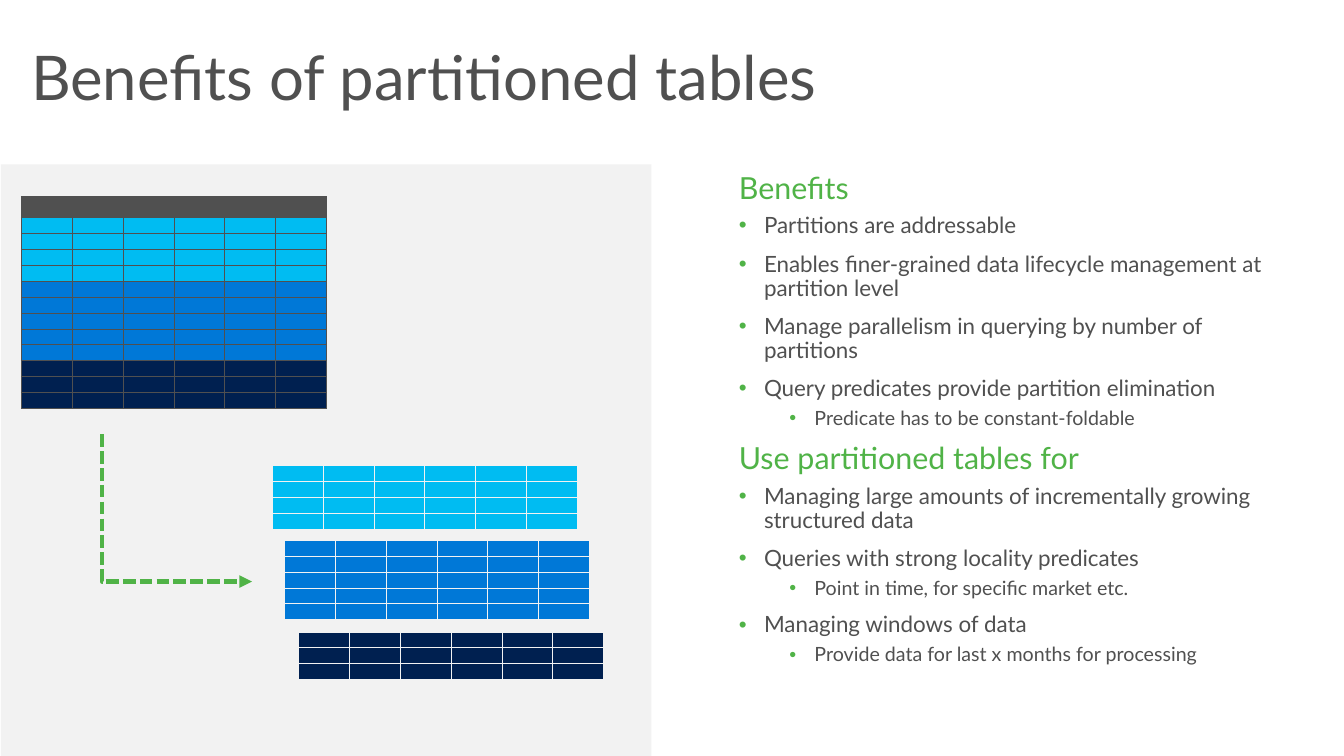
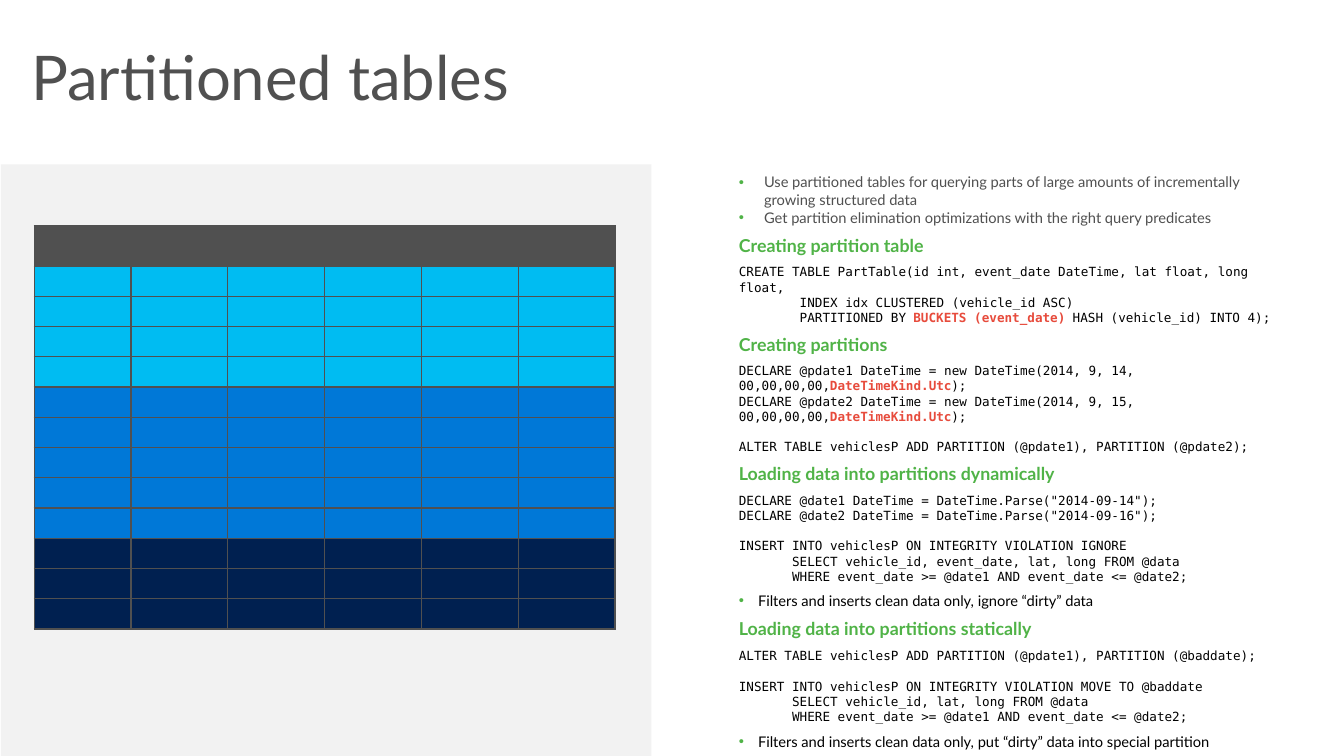
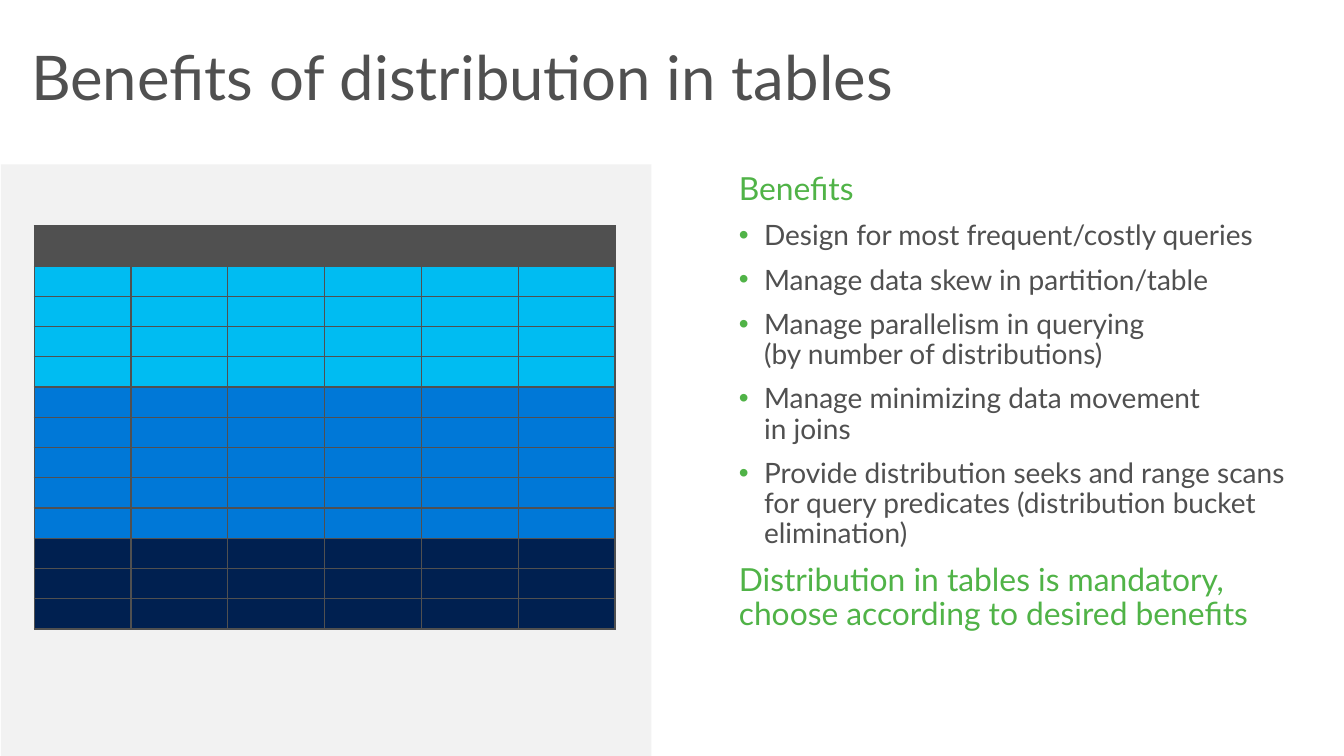
"""Build three slides on partitioned and distributed tables."""
from lxml.etree import SubElement
from pptx import Presentation
from pptx.dml.color import RGBColor
from pptx.enum.dml import MSO_LINE
from pptx.enum.shapes import MSO_CONNECTOR, MSO_SHAPE
from pptx.enum.text import MSO_ANCHOR
from pptx.oxml.ns import qn
from pptx.util import Inches, Pt

GRAY = RGBColor(0x50, 0x50, 0x50)
PALE = RGBColor(0xF2, 0xF2, 0xF2)
GREEN = RGBColor(0x50, 0xB3, 0x47)
RED = RGBColor(0xE7, 0x4B, 0x3C)
BLACK = RGBColor(0, 0, 0)
CYAN = RGBColor(0x00, 0xBC, 0xF2)
BLUE = RGBColor(0x00, 0x78, 0xD7)
NAVY = RGBColor(0x00, 0x20, 0x50)
SANS, MONO = "Lato", "DejaVu Sans Mono"
BANDS = [CYAN] * 4 + [BLUE] * 5 + [NAVY] * 3

# kind: font, size, colour, bold, left indent, hang, after, line spacing
STYLES = {
    "title": (SANS, 44, GRAY, False, 0, 0, 0, 0.9),
    "head": (SANS, 21.7, GREEN, False, 0, 0, 0, 0.9),
    "item": (SANS, 16, GRAY, False, 0.25, 0.25, 0, 0.9),
    "sub": (SANS, 14, GRAY, False, 0.75, 0.25, 0, 0.9),
    "lead": (SANS, 22.7, GREEN, False, 0, 0, 0, 0.9),
    "point": (SANS, 20, GRAY, False, 0.25, 0.25, 0, 0.9),
    "intro": (SANS, 10.5, GRAY, False, 0.25, 0.25, 0, 1.0),
    "step": (SANS, 12.7, GREEN, True, 0, 0, 6, 1.0),
    "code": (MONO, 9, BLACK, False, 0, 0, 0, 1.0),
    "note": (SANS, 10.5, BLACK, False, 0.19, 0.19, 0, 1.0),
}

SLIDES = [
    ("Benefits of partitioned tables", (5.63, 5.27), [
        ("head", 0, "Benefits"),
        ("item", 6, "Partitions are addressable"),
        ("item", 10, "Enables finer-grained data lifecycle management at partition level"),
        ("item", 10, "Manage parallelism in querying by number of partitions"),
        ("item", 10, "Query predicates provide partition elimination"),
        ("sub", 5, "Predicate has to be constant-foldable"),
        ("head", 10, "Use partitioned tables for"),
        ("item", 6, "Managing large amounts of incrementally growing structured data"),
        ("item", 10, "Queries with strong locality predicates"),
        ("sub", 5, "Point in time, for specific market etc."),
        ("item", 10, "Managing windows of data"),
        ("sub", 5, "Provide data for last x months for processing"),
    ], [
        (0.21, 1.95, 3.03, 2.1, 0.21, BANDS, GRAY, 0.5),
        (2.96, 6.27, 3.03, 0.47, 0, [NAVY] * 3, PALE, 0.75),
        (2.82, 5.36, 3.03, 0.79, 0, [BLUE] * 5, PALE, 0.75),
        (2.7, 4.62, 3.03, 0.63, 0, [CYAN] * 4, PALE, 0.75),
    ]),
    ("Partitioned tables", (5.49, 5.71), [
        ("intro", 0, "Use partitioned tables for querying parts of large amounts of incrementally growing structured data"),
        ("intro", 0, "Get partition elimination optimizations with the right query predicates"),
        ("step", 6, "Creating partition table"),
        ("code", 0, "CREATE TABLE PartTable(id int, event_date DateTime, lat float, long float,"),
        ("code", 0, "        INDEX idx CLUSTERED (vehicle_id ASC)"),
        ("code", 0, "        PARTITIONED BY |BUCKETS (event_date) |HASH (vehicle_id) INTO 4);"),
        ("step", 6, "Creating partitions"),
        ("code", 0, "DECLARE @pdate1 DateTime = new DateTime(2014, 9, 14, 00,00,00,00,|DateTimeKind.Utc|);"),
        ("code", 0, "DECLARE @pdate2 DateTime = new DateTime(2014, 9, 15, 00,00,00,00,|DateTimeKind.Utc|);"),
        ("code", 11, "ALTER TABLE vehiclesP ADD PARTITION (@pdate1), PARTITION (@pdate2);"),
        ("step", 6, "Loading data into partitions dynamically"),
        ("code", 0, 'DECLARE @date1 DateTime = DateTime.Parse("2014-09-14");'),
        ("code", 0, 'DECLARE @date2 DateTime = DateTime.Parse("2014-09-16");'),
        ("code", 11, "INSERT INTO vehiclesP ON INTEGRITY VIOLATION IGNORE"),
        ("code", 0, "       SELECT vehicle_id, event_date, lat, long FROM @data"),
        ("code", 0, "       WHERE event_date >= @date1 AND event_date <= @date2;"),
        ("note", 6, "Filters and inserts clean data only, ignore “dirty” data"),
        ("step", 6, "Loading data into partitions statically"),
        ("code", 0, "ALTER TABLE vehiclesP ADD PARTITION (@pdate1), PARTITION (@baddate);"),
        ("code", 11, "INSERT INTO vehiclesP ON INTEGRITY VIOLATION MOVE TO @baddate"),
        ("code", 0, "       SELECT vehicle_id, lat, long FROM @data"),
        ("code", 0, "       WHERE event_date >= @date1 AND event_date <= @date2;"),
        ("note", 6, "Filters and inserts clean data only, put “dirty” data into special partition"),
    ], [(0.34, 2.24, 5.76, 4, 0.4, BANDS, GRAY, 1)]),
    ("Benefits of distribution in tables", (5.63, 4.84), [
        ("lead", 0, "Benefits"),
        ("point", 10, "Design for most frequent/costly queries"),
        ("point", 10, "Manage data skew in partition/table"),
        ("point", 10, "Manage parallelism in querying\n(by number of distributions)"),
        ("point", 10, "Manage minimizing data movement\nin joins"),
        ("point", 10, "Provide distribution seeks and range scans for query predicates (distribution bucket elimination)"),
        ("lead", 10, "Distribution in tables is mandatory, choose according to desired benefits"),
    ], [(0.34, 2.24, 5.76, 4, 0.4, BANDS, GRAY, 1)]),
]


def add_text(slide, left, top, width, height, lines, anchor):
    box = slide.shapes.add_textbox(Inches(left), Inches(top), Inches(width), Inches(height))
    frame = box.text_frame
    frame.word_wrap = True
    frame.vertical_anchor = anchor
    for i, (kind, before, text) in enumerate(lines):
        font, size, color, bold, indent, hang, after, pitch = STYLES[kind]
        para = frame.add_paragraph() if i else frame.paragraphs[0]
        first, *rest = text.split("|")
        para.text = first
        for part in rest:
            para.add_run().text = part
        if hang:
            props = para._p.get_or_add_pPr()
            props.set("marL", str(Inches(indent)))
            props.set("indent", str(-Inches(hang)))
            tint = SubElement(props, qn("a:buClr"))
            SubElement(tint, qn("a:srgbClr")).set("val", str(GREEN))
            SubElement(props, qn("a:buFont")).set("typeface", "Arial")
            SubElement(props, qn("a:buChar")).set("char", "•")
        para.level = 1 if kind == "sub" else 0
        para.space_before, para.space_after = Pt(before), Pt(after)
        para.line_spacing = pitch
        mark = len(rest) // 2
        for j, run in enumerate(para.runs):
            hot = mark and j == 1
            run.font.name, run.font.size = font, Pt(size)
            run.font.bold = bool(bold or hot)
            run.font.color.rgb = RED if hot else color


def add_grid(slide, left, top, width, height, head, fills, edge, weight):
    colors = ([GRAY] if head else []) + fills
    grid = slide.shapes.add_table(
        len(colors), 6, Inches(left), Inches(top), Inches(width), Inches(height)).table
    grid.first_row = grid.horz_banding = False
    for col in grid.columns:
        col.width = Inches(width / 6)
    for i, (row, color) in enumerate(zip(grid.rows, colors)):
        row.height = Inches(head if head and i == 0 else (height - head) / len(fills))
        for cell in row.cells:
            cell.margin_left = cell.margin_right = cell.margin_top = cell.margin_bottom = 0
            para = cell.text_frame.paragraphs[0]
            SubElement(para._p, qn("a:endParaRPr")).set("sz", "500")
            props = cell._tc.get_or_add_tcPr()
            for side in ("L", "R", "T", "B"):
                line = SubElement(props, qn("a:ln" + side))
                line.set("w", str(Pt(weight)))
                paint = SubElement(line, qn("a:solidFill"))
                SubElement(paint, qn("a:srgbClr")).set("val", str(edge))
            cell.fill.solid()
            cell.fill.fore_color.rgb = color


deck = Presentation()
deck.slide_width, deck.slide_height = Inches(13.33), Inches(7.5)

for title, (width, height), lines, grids in SLIDES:
    slide = deck.slides.add_slide(deck.slide_layouts[6])
    panel = slide.shapes.add_shape(
        MSO_SHAPE.RECTANGLE, Inches(0.01), Inches(1.63), Inches(6.45), Inches(5.87))
    panel.shadow.inherit = False
    panel.fill.solid()
    panel.fill.fore_color.rgb = PALE
    panel.line.fill.background()
    add_text(slide, 0.21, 0.33, 12.92, 0.94, [("title", 0, title)], MSO_ANCHOR.MIDDLE)
    add_text(slide, 7.23, 1.67, width, height, lines, MSO_ANCHOR.TOP)
    for grid in grids:
        add_grid(slide, *grid)

arrow = deck.slides[0].shapes.add_connector(
    MSO_CONNECTOR.ELBOW, Inches(1.01), Inches(4.31), Inches(2.5), Inches(5.77))
arrow.line.color.rgb = GREEN
arrow.line.width = Pt(3)
arrow.line.dash_style = MSO_LINE.SQUARE_DOT
shape = arrow._element.spPr
SubElement(shape.find(qn("a:ln")), qn("a:tailEnd")).set("type", "triangle")
SubElement(shape, qn("a:effectLst"))
bend = SubElement(shape.find(qn("a:prstGeom")).find(qn("a:avLst")), qn("a:gd"))
bend.set("name", "adj1")
bend.set("fmla", "val 0")

deck.save("out.pptx")
